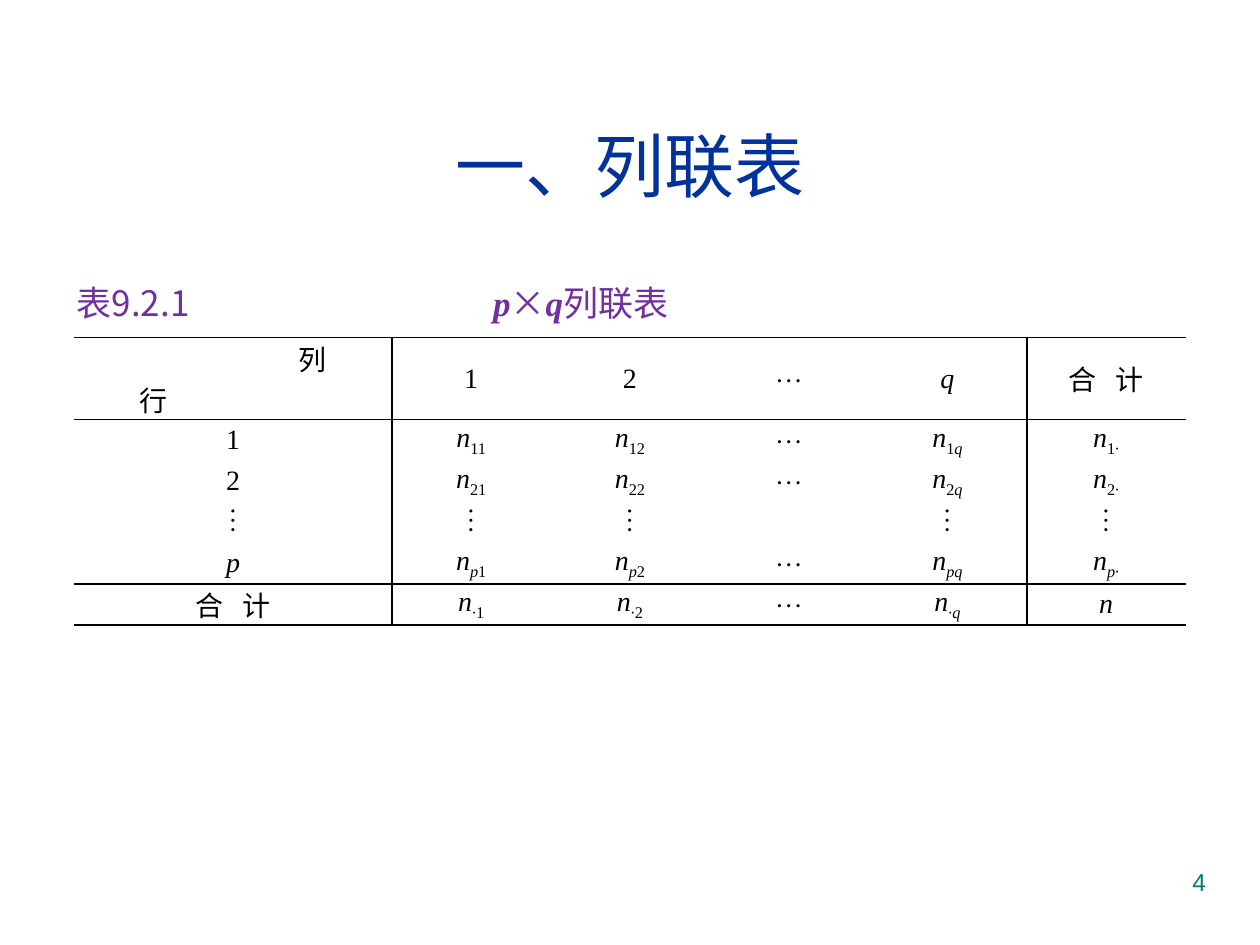
import itertools
import pptx
import pptx.util
import pptx.dml.color
import pptx.enum.text
import pptx.oxml
import pptx.oxml.ns

Inches = pptx.util.Inches
ALIGN = pptx.enum.text.PP_ALIGN
ANCHOR = pptx.enum.text.MSO_ANCHOR
COLORS = {"title": "003399", "caption": "7030A0", "ink": "000000", "number": "007A77"}
SANS, SERIF, HAN = "Arial", "Times New Roman", "Noto Sans CJK SC"
VARIABLES = "npq"
ROWS = [
    ["", "列", "1", "2", "⋯", "q", "合   计"],
    ["行", "", "", "", "", "", ""],
    ["1", "", "n_11", "n_12", "⋯", "n_1q", "n_1∙"],
    ["2", "", "n_21", "n_22", "⋯", "n_2q", "n_2∙"],
    ["⋮", "", "⋮", "⋮", "", "⋮", "⋮"],
    ["p", "", "n_p1", "n_p2", "⋯", "n_pq", "n_p∙"],
    ["合   计", "", "n_∙1", "n_∙2", "⋯", "n_∙q", "n"],
]
ROW_RULES = {0, 2, 6, 7}
COLUMN_RULES = {2, 6}


def element(text):
    return pptx.oxml.parse_xml(text.replace(">", f" {pptx.oxml.ns.nsdecls('a')}>", 1))


def add_span(para, text, size, font, color, bold=False, italic=False, lowered=False):
    span = para.add_run()
    span.text = text
    span.font.size = pptx.util.Pt(size)
    span.font.name = font
    span.font.bold = bold
    span.font.italic = italic
    span.font.color.rgb = pptx.dml.color.RGBColor.from_string(COLORS[color])
    properties = span.font._element
    properties.append(element(f'<a:ea typeface="{HAN}"></a:ea>'))
    if lowered:
        properties.set("baseline", "-25000")


def add_formula(para, formula):
    base, _, index = formula.partition("_")
    for part, lowered in ((base, False), (index, True)):
        for italic, letters in itertools.groupby(part, lambda letter: letter in VARIABLES):
            add_span(para, "".join(letters), 16, SERIF, "ink", italic=italic, lowered=lowered)


def set_borders(cell, row, column):
    edges = {
        "lnL": column in COLUMN_RULES,
        "lnR": column + 1 in COLUMN_RULES,
        "lnT": row in ROW_RULES,
        "lnB": row + 1 in ROW_RULES,
    }
    properties = cell._tc.get_or_add_tcPr()
    for place, (tag, ruled) in enumerate(edges.items()):
        paint = f'<a:solidFill><a:srgbClr val="{COLORS["ink"]}"/></a:solidFill>' if ruled else "<a:noFill/>"
        properties.insert(place, element(f'<a:{tag} w="12700">{paint}</a:{tag}>'))


def place_title(page, left, top, width, height):
    box = page.shapes.title
    box.left, box.top, box.width, box.height = map(Inches, (left, top, width, height))
    box.text_frame.vertical_anchor = ANCHOR.MIDDLE
    para = box.text_frame.paragraphs[0]
    para.alignment = ALIGN.CENTER
    add_span(para, "一、列联表", 40, SANS, "title")


def add_box(page, left, top, width, height):
    box = page.shapes.add_textbox(*map(Inches, (left, top, width, height)))
    box.text_frame.word_wrap = True
    return box


def place_caption(page, left, top, width, height):
    box = add_box(page, left, top, width, height)
    box.text_frame.vertical_anchor = ANCHOR.MIDDLE
    para = box.text_frame.paragraphs[0]
    stop = Inches(width / 2)
    para._p.get_or_add_pPr().append(
        element(f'<a:tabLst><a:tab pos="{stop}" algn="l"/></a:tabLst>'))
    for text in ("表9.2.1\t", "p", "×", "q", "列联表"):
        symbol = text in VARIABLES
        add_span(para, text, 20, SERIF if symbol else HAN, "caption", symbol, symbol)


def place_table(page, left, top, width, height):
    frame = page.shapes.add_table(len(ROWS), len(ROWS[0]), *map(Inches, (left, top, width, height)))
    table = frame.table
    table.first_row = table.horz_banding = False
    for row, formulas in enumerate(ROWS):
        for column, formula in enumerate(formulas):
            cell = table.cell(row, column)
            cell.fill.background()
            cell.margin_left = cell.margin_right = Inches(0.07)
            cell.margin_top = cell.margin_bottom = 0
            corner = row < 2 and column < 2
            cell.vertical_anchor = ANCHOR.TOP if corner else ANCHOR.MIDDLE
            para = cell.text_frame.paragraphs[0]
            para.alignment = ALIGN.CENTER
            add_formula(para, formula)
            set_borders(cell, row, column)
    for column in range(2, len(ROWS[0])):
        table.cell(0, column).merge(table.cell(1, column))
    for row in range(2, len(ROWS)):
        table.cell(row, 0).merge(table.cell(row, 1))


def place_number(page, left, top, width, height):
    box = add_box(page, left, top, width, height)
    para = box.text_frame.paragraphs[0]
    para.alignment = ALIGN.RIGHT
    add_span(para, "4", 14, SANS, "number")


deck = pptx.Presentation()
deck.slide_width, deck.slide_height = Inches(10), Inches(7.5)
page = deck.slides.add_slide(deck.slide_layouts[5])
place_title(page, 0.33, 0.67, 9.34, 1.27)
place_table(page, 0.59, 2.68, 8.82, 2.28)
place_caption(page, 0.51, 2.18, 6.61, 0.44)
place_number(page, 7.17, 6.83, 2.5, 0.52)
deck.save("out.pptx")
